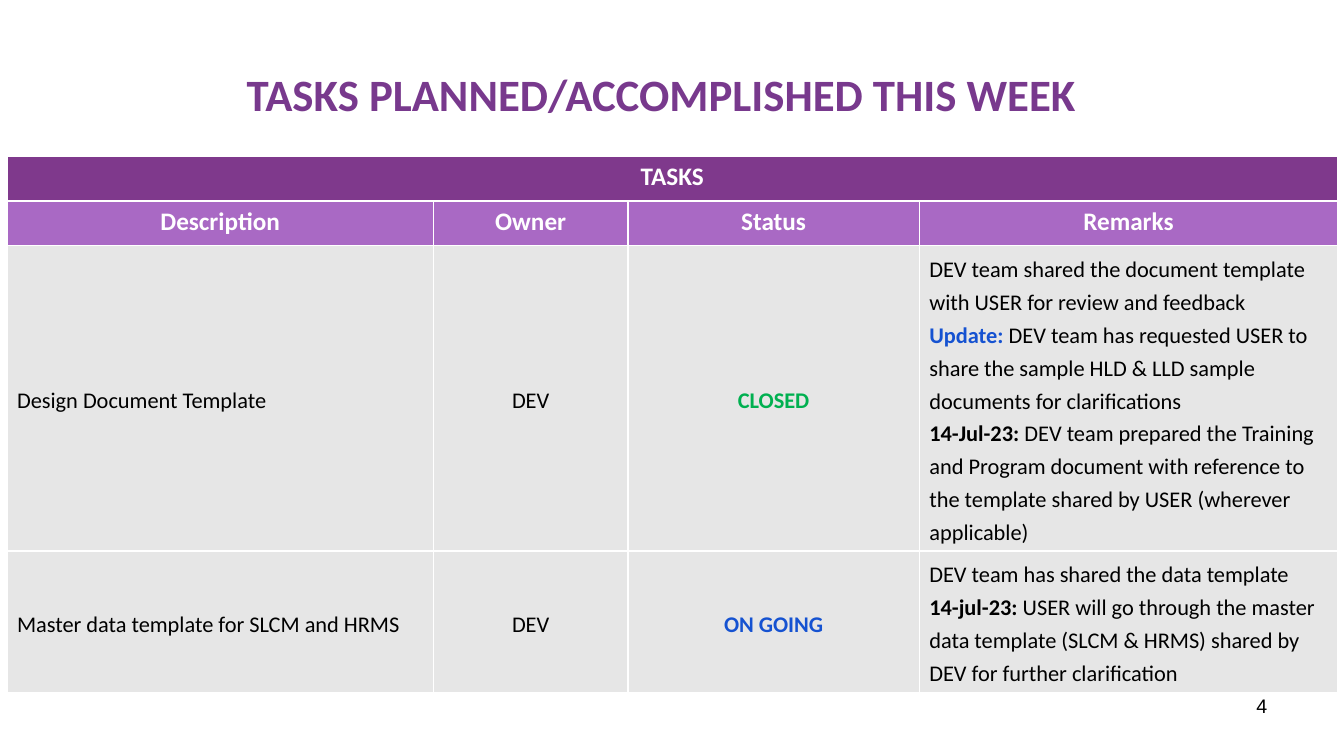
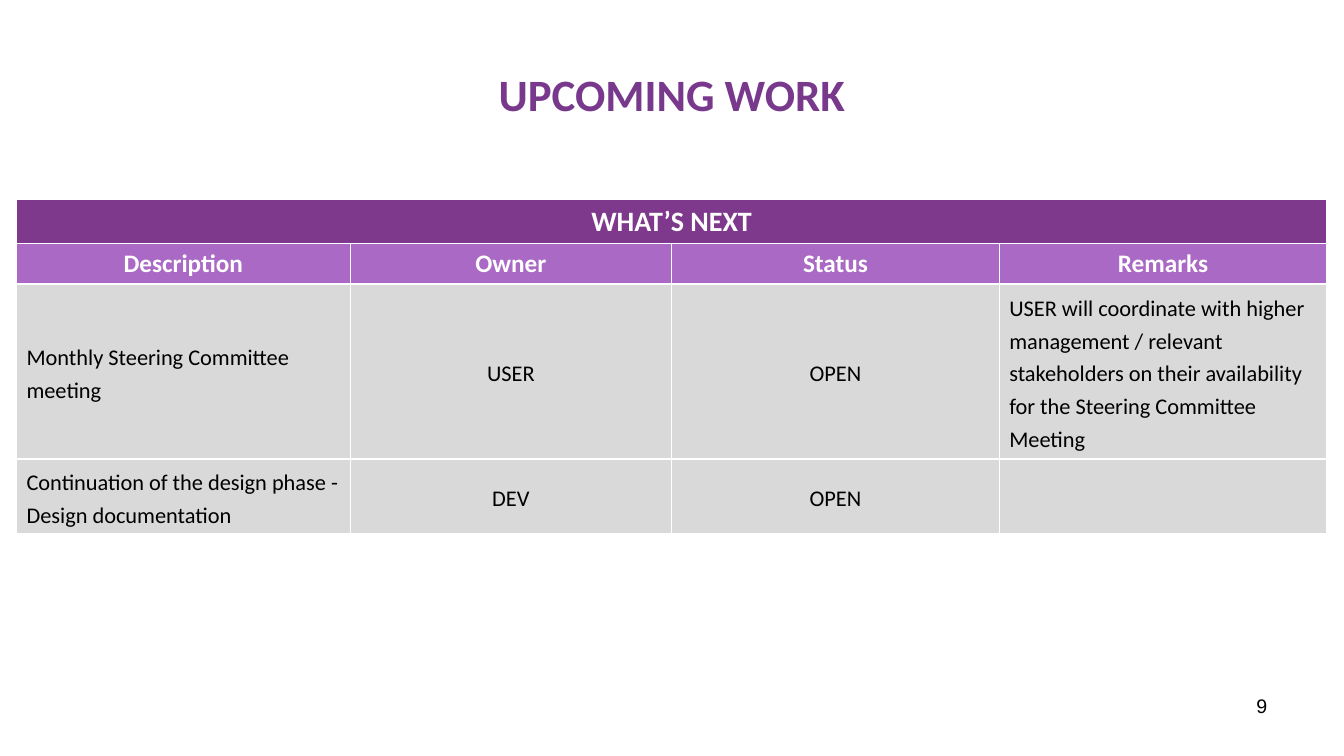
"""Build the two weekly status slides: tasks of this week and upcoming work."""
from dataclasses import dataclass

from lxml import etree
from pptx import Presentation
from pptx.dml.color import RGBColor
from pptx.enum.text import MSO_ANCHOR, PP_ALIGN
from pptx.oxml.ns import qn
from pptx.util import Pt

LEFT, CENTER, RIGHT = PP_ALIGN.LEFT, PP_ALIGN.CENTER, PP_ALIGN.RIGHT
TOP, MIDDLE = MSO_ANCHOR.TOP, MSO_ANCHOR.MIDDLE
TITLE_ONLY = 5

COLORS = {
    "title": "78398D",
    "banner": "7F398C",
    "header": "A969C4",
    "white": "FFFFFF",
    "black": "000000",
    "blue": "1552D1",
    "green": "00B050",
    "light_gray": "E6E6E6",
    "gray": "D9D9D9",
}
TITLE_FONT = {"name": "Calibri", "size": Pt(32), "bold": True}
HEADER_FONT = {"name": "Calibri", "size": Pt(18), "bold": True}
BODY_FONT = {"name": "Calibri", "size": Pt(16), "bold": False}
NUMBER_FONT = {"name": "Arial", "size": Pt(14), "bold": False}

HEADINGS = ("Description", "Owner", "Status", "Remarks")
ALIGNMENTS = (LEFT, CENTER, CENTER, LEFT)


@dataclass(frozen=True)
class Span:
    text: str
    color: str = "black"
    bold: bool = False


@dataclass(frozen=True)
class Task:
    description: str
    owner: str
    status: Span
    remarks: tuple[tuple[Span, ...], ...] = ()


@dataclass(frozen=True)
class StatusPage:
    title: str
    title_right_inset: float
    number: str
    banner: str
    banner_size: float
    left: float
    top: float
    columns: tuple[float, ...]
    rows: tuple[float, ...]
    body_color: str
    tasks: tuple[Task, ...]


PAGES = (
    StatusPage(
        title="TASKS PLANNED/ACCOMPLISHED THIS WEEK",
        title_right_inset=22,
        number="4",
        banner="TASKS",
        banner_size=18,
        left=5,
        top=111.6,
        columns=(304.6, 139, 208.1, 298.8),
        rows=(32, 32, 218, 101),
        body_color="light_gray",
        tasks=(
            Task("Design Document Template", "DEV", Span("CLOSED", "green", True), (
                (Span("DEV team shared the document template with USER for review and feedback"),),
                (Span("Update:", "blue", True),
                 Span(" DEV team has requested USER to share the sample HLD & LLD sample "
                      "documents for clarifications")),
                (Span("14-Jul-23:", bold=True),
                 Span(" DEV team prepared the Training and Program document with reference "
                      "to the template shared by USER (wherever applicable)")),
            )),
            Task("Master data template for SLCM and HRMS", "DEV", Span("ON GOING", "blue", True), (
                (Span("DEV team has shared the data template"),),
                (Span("14-jul-23:", bold=True),
                 Span(" USER will go through the master data template (SLCM & HRMS) shared by "
                      "DEV for further clarification")),
            )),
        ),
    ),
    StatusPage(
        title="UPCOMING WORK",
        title_right_inset=7.2,
        number="9",
        banner="WHAT’S NEXT",
        banner_size=20,
        left=11.8,
        top=142.6,
        columns=(238.3, 229.7, 234, 234),
        rows=(31, 29, 125, 53.5),
        body_color="gray",
        tasks=(
            Task("Monthly Steering Committee meeting", "USER", Span("OPEN"), (
                (Span("USER will coordinate with higher management / relevant stakeholders on "
                      "their availability for the Steering Committee Meeting"),),
            )),
            Task("Continuation of the design phase - Design documentation", "DEV", Span("OPEN")),
        ),
    ),
)


def add_run(paragraph, text: str, font_format: dict, color: str) -> None:
    run = paragraph.add_run()
    run.text = text
    for name, value in font_format.items():
        setattr(run.font, name, value)
    run.font.color.rgb = RGBColor.from_string(COLORS[color])


def add_title(slide, page: StatusPage) -> None:
    title = slide.shapes.title
    title.left, title.top, title.width, title.height = Pt(48), Pt(21.6), Pt(864), Pt(90)
    frame = title.text_frame
    frame.vertical_anchor = MIDDLE
    frame.margin_right = Pt(page.title_right_inset)
    paragraph = frame.paragraphs[0]
    paragraph.alignment = CENTER
    add_run(paragraph, page.title, TITLE_FONT, "title")


def add_page_number(slide, number: str) -> None:
    box = slide.shapes.add_textbox(Pt(688.3), Pt(491.8), Pt(223.9), Pt(37.4))
    box.text_frame.word_wrap = True
    paragraph = box.text_frame.paragraphs[0]
    paragraph.alignment = RIGHT
    add_run(paragraph, number, NUMBER_FONT, "black")


def style_cell(cell, color: str, anchor) -> None:
    properties = cell._tc.get_or_add_tcPr()
    for side in ("a:lnL", "a:lnR", "a:lnT", "a:lnB"):
        line = etree.SubElement(properties, qn(side), w=str(Pt(1)))
        fill = etree.SubElement(line, qn("a:solidFill"))
        etree.SubElement(fill, qn("a:srgbClr"), val=COLORS["white"])
    cell.fill.solid()
    cell.fill.fore_color.rgb = RGBColor.from_string(COLORS[color])
    cell.vertical_anchor = anchor


def fill_header(cell, text: str, color: str, size: float = 18) -> None:
    style_cell(cell, color, TOP)
    paragraph = cell.text_frame.paragraphs[0]
    paragraph.alignment = CENTER
    add_run(paragraph, text, HEADER_FONT | {"size": Pt(size)}, "white")


def fill_body(cell, lines: tuple[tuple[Span, ...], ...], color: str, alignment) -> None:
    style_cell(cell, color, MIDDLE)
    frame = cell.text_frame
    for index, spans in enumerate(lines):
        paragraph = frame.add_paragraph() if index else frame.paragraphs[0]
        paragraph.alignment = alignment
        paragraph.line_spacing = 1.2
        for span in spans:
            add_run(paragraph, span.text, BODY_FONT | {"bold": span.bold}, span.color)


def add_task_table(slide, page: StatusPage) -> None:
    table = slide.shapes.add_table(
        len(page.rows), len(page.columns), Pt(page.left), Pt(page.top),
        Pt(sum(page.columns)), Pt(sum(page.rows)),
    ).table
    table.first_row = table.horz_banding = False
    for column, width in zip(table.columns, page.columns):
        column.width = Pt(width)
    for row, height in zip(table.rows, page.rows):
        row.height = Pt(height)

    table.cell(0, 0).merge(table.cell(0, len(page.columns) - 1))
    fill_header(table.cell(0, 0), page.banner, "banner", page.banner_size)
    for column_index, heading in enumerate(HEADINGS):
        if column_index:
            style_cell(table.cell(0, column_index), "banner", TOP)
        fill_header(table.cell(1, column_index), heading, "header")
    for row_index, task in enumerate(page.tasks, start=2):
        contents = (
            ((Span(task.description),),), ((Span(task.owner),),), ((task.status,),), task.remarks,
        )
        for column_index, (lines, alignment) in enumerate(zip(contents, ALIGNMENTS)):
            fill_body(table.cell(row_index, column_index), lines, page.body_color, alignment)


def main() -> None:
    presentation = Presentation()
    presentation.slide_width, presentation.slide_height = Pt(960), Pt(540)
    for page in PAGES:
        slide = presentation.slides.add_slide(presentation.slide_layouts[TITLE_ONLY])
        add_title(slide, page)
        add_page_number(slide, page.number)
        add_task_table(slide, page)
    presentation.save("out.pptx")


if __name__ == "__main__":
    main()
